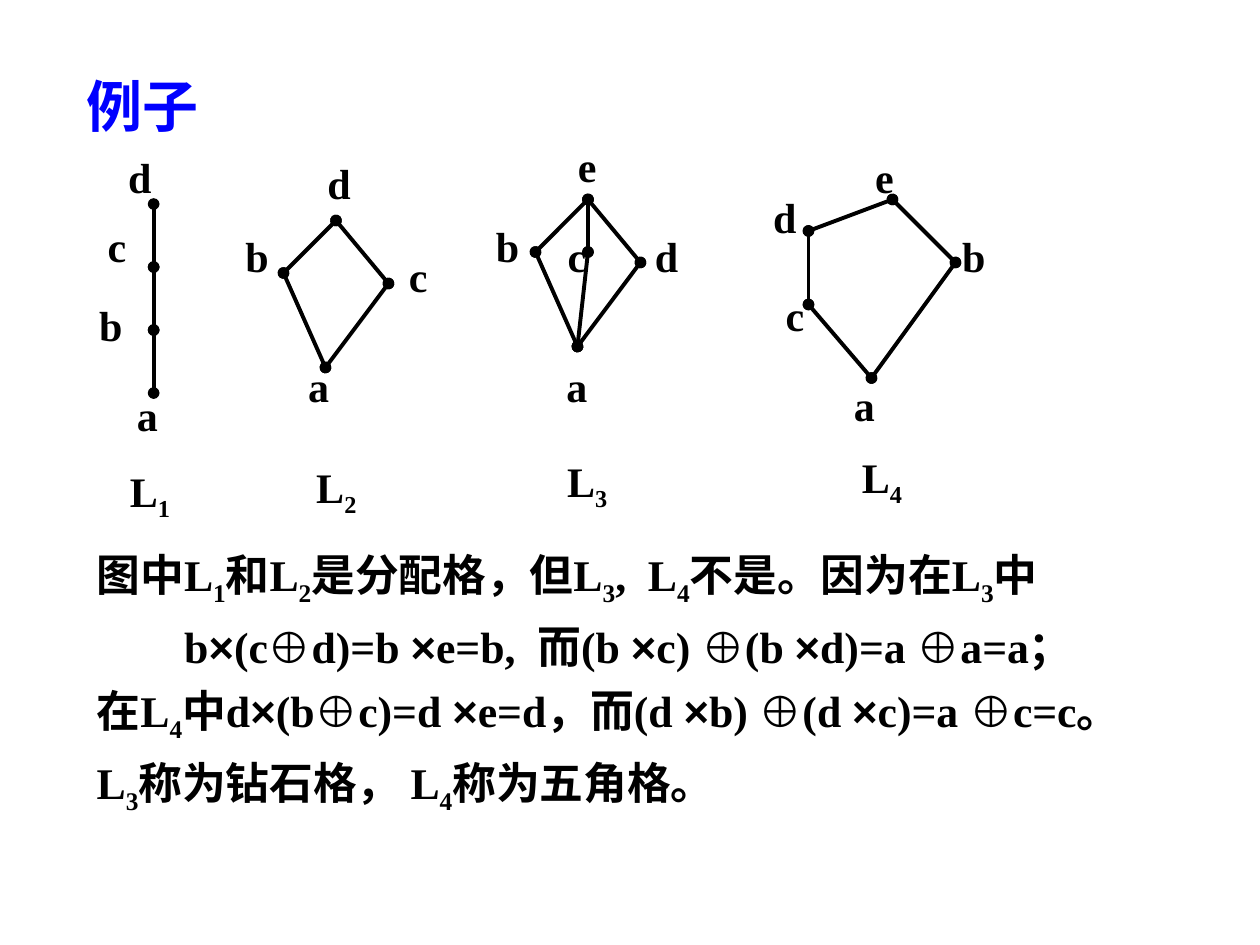
import dataclasses
import itertools
import typing

import pptx
import pptx.dml.color
import pptx.enum.shapes
import pptx.enum.text
import pptx.oxml
import pptx.oxml.ns
import pptx.util

Pt = pptx.util.Pt
RGB = pptx.dml.color.RGBColor
ALIGN = pptx.enum.text.PP_ALIGN
ANCHOR = pptx.enum.text.MSO_ANCHOR
AUTO_SIZE = pptx.enum.text.MSO_AUTO_SIZE
Point = typing.Tuple[float, float]


@dataclasses.dataclass(frozen=True)
class Theme:
    ink: RGB = RGB(0, 0, 0)
    accent: RGB = RGB(0, 0, 255)
    latin: str = "Times New Roman"
    symbol: str = "Arial"
    chinese: str = "Noto Sans CJK SC"
    title_size: float = 32
    body_size: float = 25
    label_size: float = 24
    line_width: float = 2.25


@dataclasses.dataclass(frozen=True)
class Node:
    at: Point
    label_at: Point


@dataclasses.dataclass(frozen=True)
class Lattice:
    name: str
    name_at: Point
    nodes: typing.Dict[str, Node]
    edges: str


THEME = Theme()
LABEL_SIZE = (30.2, 36)

LATTICES = [
    Lattice("L1", (70.6, 264.2), {
        "d": Node((87.8, 116.6), (64.8, 82.8)),
        "c": Node((87.8, 152.6), (51.8, 122.4)),
        "b": Node((87.8, 188.6), (48.2, 167.8)),
        "a": Node((87.8, 224.6), (69.1, 218.9)),
    }, "dc cb ba"),
    Lattice("L2", (177.1, 262.1), {
        "d": Node((192, 126), (178.6, 86.4)),
        "c": Node((222, 162), (223.9, 139.7)),
        "b": Node((162, 156), (131.8, 128.2)),
        "a": Node((186, 210), (167, 202.3)),
    }, "dc db ba ca"),
    Lattice("L3", (320.4, 258.5), {
        "e": Node((336, 114), (320.4, 77)),
        "c": Node((336, 144), (314.6, 128.2)),
        "d": Node((366, 150), (365.8, 128.2)),
        "b": Node((306, 144), (275, 122.4)),
        "a": Node((330, 198), (314.6, 202.3)),
    }, "ec ed eb ba da ca"),
    Lattice("L4", (488.9, 256.3), {
        "e": Node((510, 114), (490.3, 82.8)),
        "b": Node((546, 150), (541.4, 128.2)),
        "d": Node((462, 132), (433.4, 105.8)),
        "c": Node((462, 174), (439.2, 162)),
        "a": Node((498, 216), (478.8, 213.1)),
    }, "eb ed dc ca ba"),
]

# Left indent in points and text of each paragraph
BODY = [
    (0, "图中L1和L2是分配格，但L3,  L4不是。因为在L3中"),
    (50, "b×(c⊕d)=b ×e=b,  而(b ×c) ⊕(b ×d)=a ⊕a=a；"),
    (0, "在L4中d×(b⊕c)=d ×e=d，而(d ×b) ⊕(d ×c)=a ⊕c=c。"),
    (0, "L3称为钻石格， L4称为五角格。"),
]


def apply(obj: typing.Any, values: typing.Dict[str, typing.Any]) -> None:
    for name, value in values.items():
        setattr(obj, name, value)


def kind_of(char: str) -> str:
    if char.isdigit():
        return "subscript"
    return "symbol" if char in "×⊕" else "text"


def write(p, text: str, size: float, color: RGB) -> None:
    """Add runs: digits become subscripts, operators use the symbol font."""
    for kind, chars in itertools.groupby(text, kind_of):
        r = p.add_run()
        r.text = "".join(chars)
        latin = THEME.symbol if kind == "symbol" else THEME.latin
        apply(r.font, {"name": latin, "size": Pt(size), "bold": True})
        r.font.color.rgb = color
        rPr = r._r.get_or_add_rPr()
        if kind == "subscript":
            rPr.set("baseline", "-25000")
        ea = pptx.oxml.parse_xml(
            f'<a:ea {pptx.oxml.ns.nsdecls("a")} typeface="{THEME.chinese}"/>')
        rPr.find(pptx.oxml.ns.qn("a:latin")).addnext(ea)


def add_label(shapes, text: str, at: Point) -> None:
    sp = shapes.add_textbox(*map(Pt, at + LABEL_SIZE))
    # No side margins, so that a letter and its subscript fit on one line
    apply(sp.text_frame, {"word_wrap": False, "vertical_anchor": ANCHOR.MIDDLE,
                          "margin_left": 0, "margin_right": 0})
    p = sp.text_frame.paragraphs[0]
    p.alignment = ALIGN.CENTER
    write(p, text, THEME.label_size, THEME.ink)


def add_edge(shapes, start: Point, end: Point) -> None:
    sp = shapes.add_connector(
        pptx.enum.shapes.MSO_CONNECTOR.STRAIGHT, *map(Pt, start + end))
    sp.line.width = Pt(THEME.line_width)
    sp.line.color.rgb = THEME.ink
    ns = pptx.oxml.ns.nsdecls("a")
    for tag in ("headEnd", "tailEnd"):
        sp.line._get_or_add_ln().append(
            pptx.oxml.parse_xml(f'<a:{tag} {ns} type="oval"/>'))
    sp._element.spPr.append(pptx.oxml.parse_xml(f"<a:effectLst {ns}/>"))


def add_lattice(s, lattice: Lattice) -> None:
    shapes = s.shapes.add_group_shape().shapes
    for start, end in lattice.edges.split():
        add_edge(shapes, lattice.nodes[start].at, lattice.nodes[end].at)
    for name, node in lattice.nodes.items():
        add_label(shapes, name, node.label_at)
    add_label(s.shapes, lattice.name, lattice.name_at)


def add_title(s, text: str) -> None:
    sp = s.shapes.title
    apply(sp, {"left": Pt(42.5), "top": Pt(37.4),
               "width": Pt(612), "height": Pt(45.4)})
    apply(sp.text_frame, {"word_wrap": True, "auto_size": AUTO_SIZE.NONE,
                          "vertical_anchor": ANCHOR.MIDDLE})
    p = sp.text_frame.paragraphs[0]
    p.alignment = ALIGN.LEFT
    write(p, text, THEME.title_size, THEME.accent)


def add_body(s) -> None:
    tf = s.shapes.add_textbox(Pt(48.2), Pt(309.6), Pt(686), Pt(181.4)).text_frame
    tf.word_wrap = True
    for i, (indent, text) in enumerate(BODY):
        p = tf.add_paragraph() if i else tf.paragraphs[0]
        p.space_before = Pt(6.8 if i else 0)
        p._p.get_or_add_pPr().set("marL", str(Pt(indent)))
        write(p, text, THEME.body_size, THEME.ink)


def main() -> None:
    prs = pptx.Presentation()
    apply(prs, {"slide_width": Pt(720), "slide_height": Pt(540)})
    s = prs.slides.add_slide(prs.slide_layouts[5])
    # Title and explanation
    add_title(s, "例子")
    add_body(s)
    # Hasse diagrams
    for lattice in LATTICES:
        add_lattice(s, lattice)
    prs.save("out.pptx")


if __name__ == "__main__":
    main()
